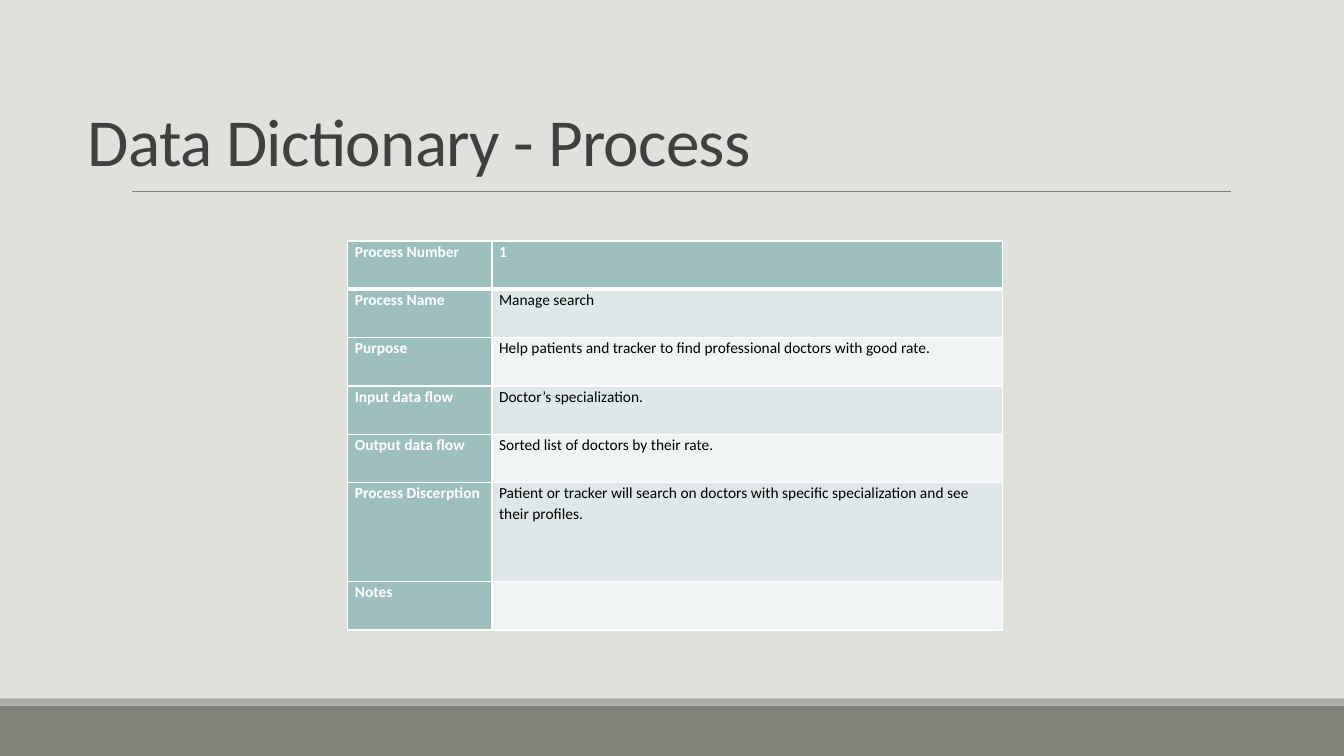
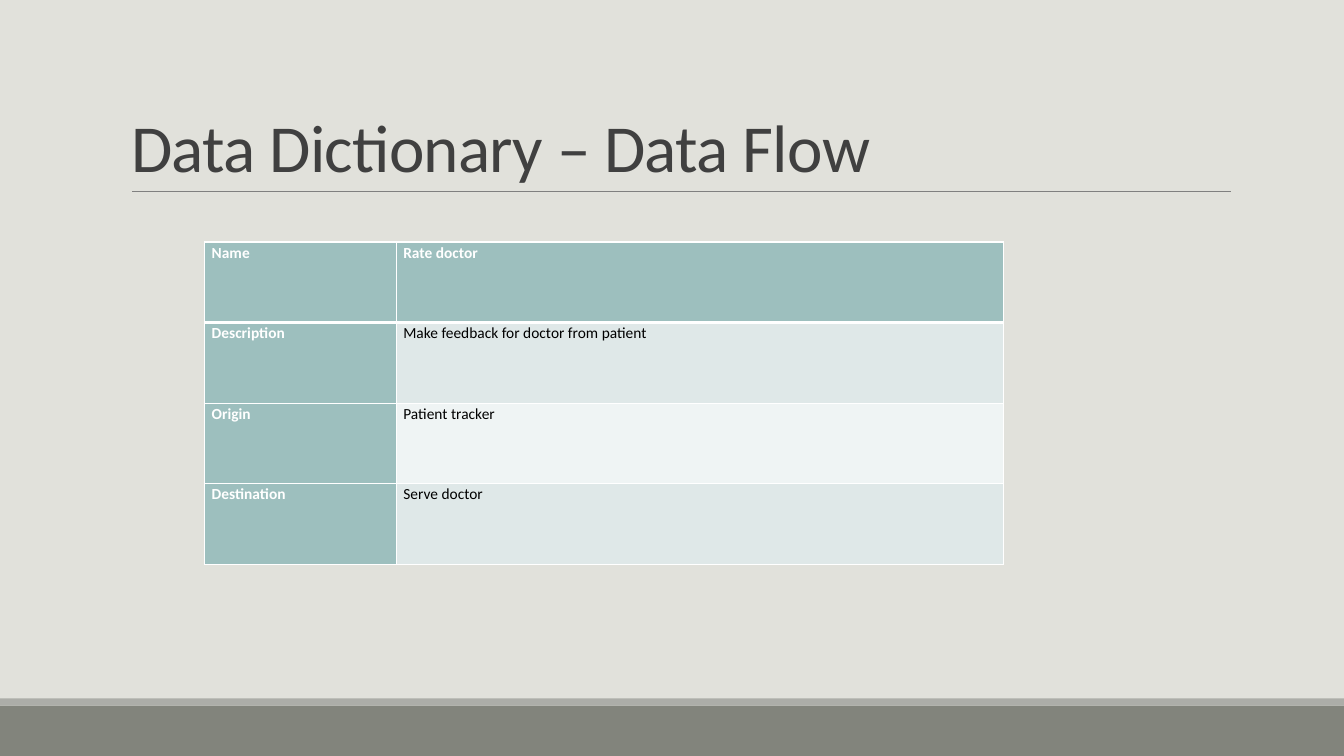
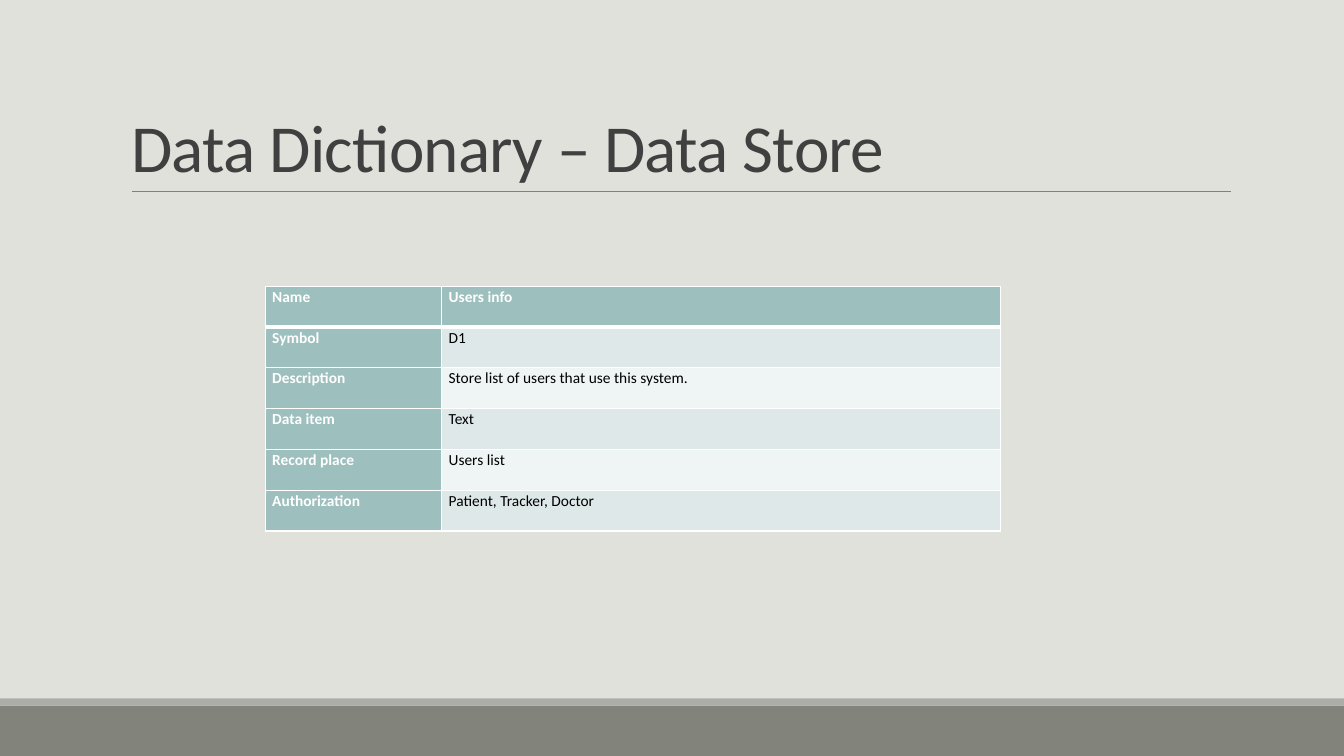
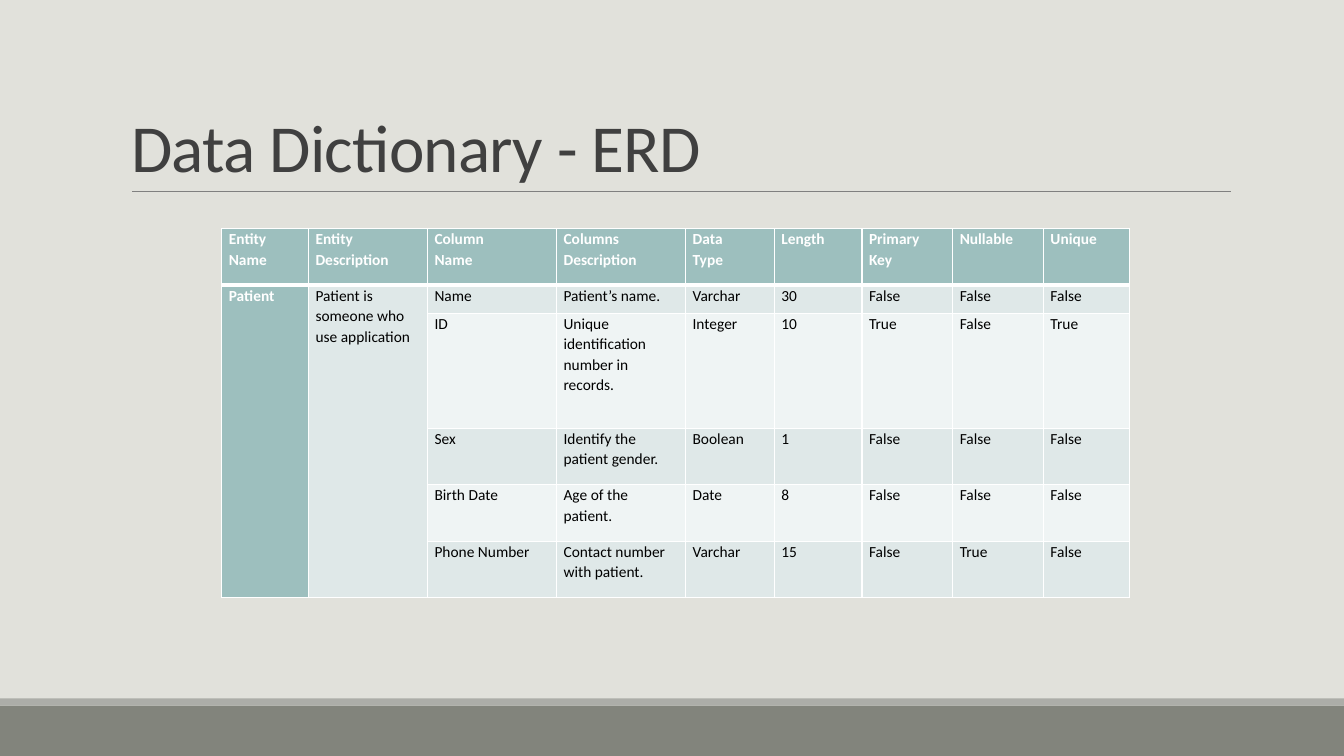
from lxml import etree
from pptx import Presentation
from pptx.dml.color import RGBColor
from pptx.enum.shapes import MSO_CONNECTOR, MSO_SHAPE
from pptx.enum.text import MSO_ANCHOR, MSO_AUTO_SIZE, PP_ALIGN
from pptx.oxml.ns import qn
from pptx.util import Inches, Pt

RECTANGLE = MSO_SHAPE.RECTANGLE
STRAIGHT = MSO_CONNECTOR.STRAIGHT
BOTTOM, TOP = MSO_ANCHOR.BOTTOM, MSO_ANCHOR.TOP
LEFT = PP_ALIGN.LEFT
NO_FIT = MSO_AUTO_SIZE.NONE

FONT = "Calibri"
BACKGROUND = "E1E1DB"
TITLE_COLOR = "404040"
RULE_COLOR = "808080"
HEADER_FILL = "9DBFBE"
BAND_FILLS = ["EFF4F4", "DFE8E8"]  # even rows, odd rows
HEADER_TEXT = BORDER = "FFFFFF"
BODY_TEXT = "000000"


def color(value):
    return RGBColor.from_string(value)


def add_border(cell, side, points):
    line = etree.SubElement(cell._tc.get_or_add_tcPr(), qn(f"a:ln{side}"), w=str(Pt(points)))
    fill = etree.SubElement(line, qn("a:solidFill"))
    etree.SubElement(fill, qn("a:srgbClr"), val=BORDER)


# Content: title, title position, table position, column widths, row heights, rows
TITLE_PLACE = (1.2, 0.31)
slides = [
    ("Data Dictionary - Process", (0.77, 0.25), (3.45, 2.39),
     [1.43, 5.06], [0.48] * 5 + [0.98, 0.48], [
        ["Process Number", "1"],
        ["Process Name", "Manage search"],
        ["Purpose", "Help patients and tracker to find professional doctors with good rate."],
        ["Input data flow", "Doctor’s specialization."],
        ["Output data flow", "Sorted list of doctors by their rate."],
        ["Process Discerption", "Patient or tracker will search on doctors with specific "
                                "specialization and see their profiles."],
        ["Notes", ""],
    ]),
    ("Data Dictionary – Data Flow", TITLE_PLACE, (2.03, 2.4),
     [1.9, 6.02], [0.8] * 4, [
        ["Name", "Rate doctor"],
        ["Description", "Make feedback for doctor from patient"],
        ["Origin", "Patient tracker"],
        ["Destination", "Serve doctor"],
    ]),
    ("Data Dictionary – Data Store", TITLE_PLACE, (2.63, 2.84),
     [1.75, 5.54], [2.43 / 6] * 6, [
        ["Name", "Users info"],
        ["Symbol", "D1"],
        ["Description", "Store list of users that use this system."],
        ["Data item", "Text"],
        ["Record place", "Users list"],
        ["Authorization", "Patient, Tracker, Doctor"],
    ]),
    ("Data Dictionary - ERD", TITLE_PLACE, (2.2, 2.27),
     [0.86, 1.18, 1.28, 1.28, 0.88, 0.87, 0.9, 0.9, 0.85],
     [0.56, 0.28, 1.14, 0.56, 0.56, 0.56], [
        ["Entity Name", "Entity\nDescription", "Column\nName", "Columns\nDescription",
         "Data\nType", "Length", "Primary\nKey", "Nullable", "Unique"],
        ["Patient", "Patient is someone who use application", "Name", "Patient’s name.",
         "Varchar", "30", "False", "False", "False"],
        ["", "", "ID", "Unique identification number in records.",
         "Integer", "10", "True", "False", "True"],
        ["", "", "Sex", "Identify the patient gender.",
         "Boolean", "1", "False", "False", "False"],
        ["", "", "Birth Date", "Age of the patient.",
         "Date", "8", "False", "False", "False"],
        ["", "", "Phone Number", "Contact number with patient.",
         "Varchar", "15", "False", "True", "False"],
    ]),
]

presentation = Presentation()
presentation.slide_width = Inches(13.33)
presentation.slide_height = Inches(7.5)

# Shared layout: background, and only the title placeholder
layout = presentation.slide_layouts.get_by_name("Title Only")
layout.background.fill.solid()
layout.background.fill.fore_color.rgb = color(BACKGROUND)
layout_title, *footers = layout.placeholders
for footer in footers:
    footer.element.getparent().remove(footer.element)

for title_text, title_place, table_place, widths, heights, rows in slides:
    slide = presentation.slides.add_slide(layout)

    # Title
    title = slide.shapes.title
    title.left, title.top = (Inches(value) for value in title_place)
    title.width, title.height = Inches(11), Inches(1.59)
    frame = title.text_frame
    frame.text = title_text
    frame.auto_size = NO_FIT
    frame.vertical_anchor = BOTTOM
    paragraph = frame.paragraphs[0]
    paragraph.alignment = LEFT
    paragraph.line_spacing = 0.85
    paragraph.font.name = FONT
    paragraph.font.size = Pt(48)
    paragraph.font.color.rgb = color(TITLE_COLOR)
    paragraph.runs[0]._r.get_or_add_rPr().set("spc", "-50")

    # Table
    left, top = table_place
    table = slide.shapes.add_table(len(rows), len(widths), Inches(left), Inches(top),
                                   Inches(sum(widths)), Inches(sum(heights))).table
    for column, width in zip(table.columns, widths):
        column.width = Inches(width)
    for row, height in zip(table.rows, heights):
        row.height = Inches(height)

    for row_index, row in enumerate(rows):
        for column_index, text in enumerate(row):
            cell = table.cell(row_index, column_index)
            is_header = row_index == 0 or column_index == 0
            cell.text = text
            cell.vertical_anchor = TOP
            cell.margin_left = cell.margin_right = Inches(0.07)
            cell.margin_top = cell.margin_bottom = 0
            for side in "LRTB":
                under_header = (row_index, side) in [(0, "B"), (1, "T")]
                add_border(cell, side, 3 if under_header else 1)
            cell.fill.solid()
            cell.fill.fore_color.rgb = color(HEADER_FILL if is_header else BAND_FILLS[row_index % 2])
            for paragraph in cell.text_frame.paragraphs:
                paragraph.line_spacing = 1.07
                paragraph.font.name = FONT
                paragraph.font.size = Pt(11)
                paragraph.font.bold = is_header
                paragraph.font.color.rgb = color(HEADER_TEXT if is_header else BODY_TEXT)

# The entity name and description span all rows of the ERD table
for column_index in range(2):
    table.cell(1, column_index).merge(table.cell(len(rows) - 1, column_index))

# Bottom bands and title rule, drawn once and moved to the layout
shapes = presentation.slides[0].shapes
layout_parts = []
for top, height, fill in [(7, 0.5, "82847C"), (6.93, 0.07, "ACADA8")]:
    band = shapes.add_shape(RECTANGLE, 0, Inches(top), presentation.slide_width, Inches(height))
    band.shadow.inherit = False
    band.fill.solid()
    band.fill.fore_color.rgb = color(fill)
    band.line.fill.background()
    layout_parts.append(band)
rule = shapes.add_connector(STRAIGHT, Inches(1.31), Inches(1.9), Inches(12.21), Inches(1.9))
rule.line.color.rgb = color(RULE_COLOR)
rule.line.width = Pt(0.5)
etree.SubElement(rule.element.spPr, qn("a:effectLst"))
layout_parts.append(rule)
for part in layout_parts:
    layout_title.element.addprevious(part.element)

presentation.save("out.pptx")
